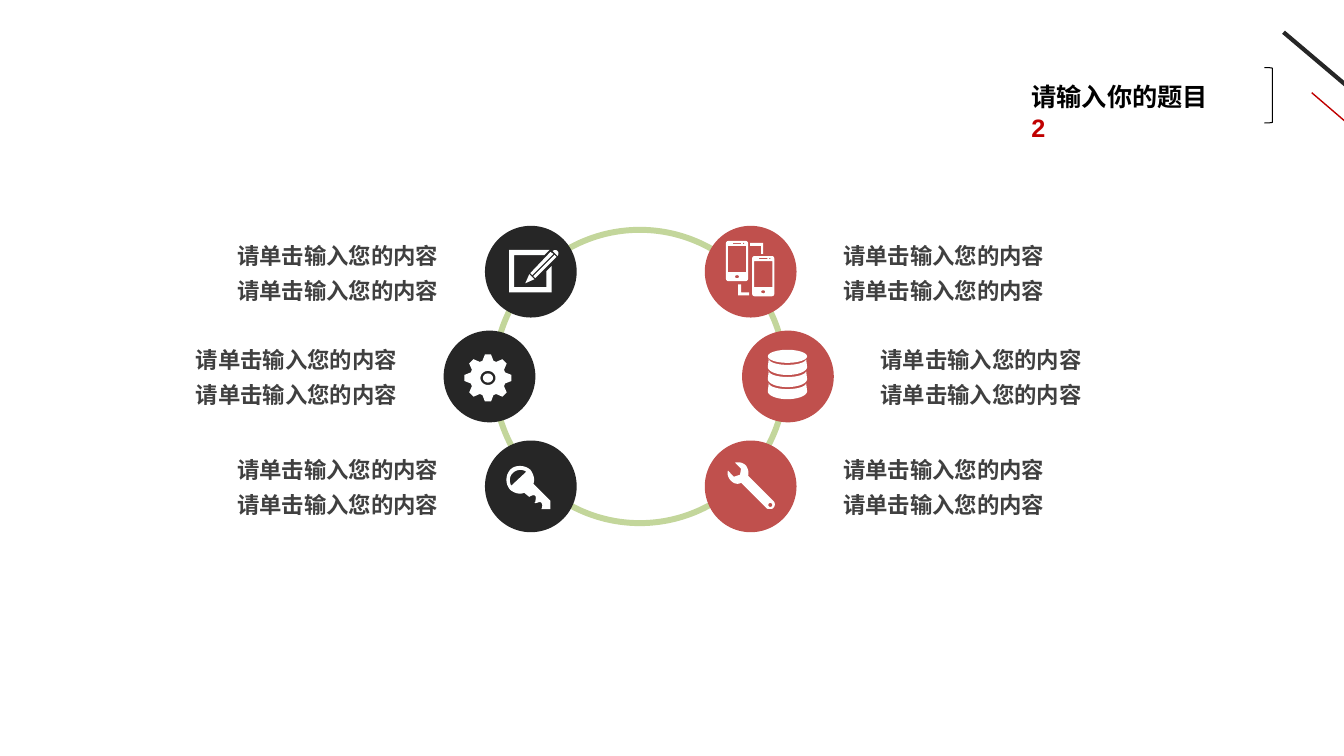
from dataclasses import dataclass
from math import cos, pi, radians, sin

from lxml import etree
from pptx import Presentation
from pptx.dml.color import RGBColor
from pptx.enum.shapes import MSO_CONNECTOR, MSO_SHAPE
from pptx.enum.text import MSO_ANCHOR, MSO_AUTO_SIZE, PP_ALIGN
from pptx.oxml.ns import qn
from pptx.util import Pt

PX = 9144  # EMU; 100 px to the inch
STRAIGHT = MSO_CONNECTOR.STRAIGHT
OVAL, BRACKET = MSO_SHAPE.OVAL, MSO_SHAPE.RIGHT_BRACKET
TOP, MIDDLE = MSO_ANCHOR.TOP, MSO_ANCHOR.MIDDLE
LEFT, CENTER = PP_ALIGN.LEFT, PP_ALIGN.CENTER
NO_AUTOFIT = MSO_AUTO_SIZE.NONE

BADGE_SIZE = 91
CAPTION_SIZE = (236, 93)
CAPTION_LINES = ("请单击输入您的内容", "请单击输入您的内容")

Contour = list[tuple[float, float]]
Icon = list[list[Contour]]  # one list of contours for each freeform


@dataclass(frozen=True)
class Theme:
    black: str = "000000"
    dark: str = "262626"
    body: str = "404040"
    red: str = "C00000"
    coral: str = "C0504D"
    green: str = "C3D69B"
    icon: str = "FEFFFF"
    title_font: str = "Arial"
    body_font: str = "Noto Sans CJK SC"
    title_size: int = 18
    body_size: int = 16


THEME = Theme()


@dataclass(frozen=True)
class Stroke:
    start: tuple[int, int]
    end: tuple[int, int]
    color: str
    width: float


@dataclass(frozen=True)
class Badge:
    left: int
    top: int
    color: str
    caption_offset: int
    icon: Icon


def outline(*steps: tuple[float, ...]) -> Contour:
    """Trace steps: a pair is a corner, six numbers are a cubic curve."""
    points: Contour = []
    for step in steps:
        if len(step) == 2:
            points.append(step)
            continue
        curve = (points[-1], step[:2], step[2:4], step[4:])
        for part in range(1, 9):
            t = part / 8
            weights = ((1 - t) ** 3, 3 * t * (1 - t) ** 2, 3 * t * t * (1 - t), t ** 3)
            points.append(tuple(sum(w * p[axis] for w, p in zip(weights, curve)) for axis in (0, 1)))
    return points


def arc(x: float, y: float, rx: float, ry: float, start: int = 0, sweep: int = 360) -> Contour:
    angles = [radians(start + sweep * part / 24) for part in range(25)]
    return [(x + rx * cos(angle), y + ry * sin(angle)) for angle in angles]


def box(left: int, top: int, right: int, bottom: int) -> Contour:
    return [(left, top), (right, top), (right, bottom), (left, bottom)]


def gear_icon() -> Icon:
    x, y = 44, 47
    rim: Contour = []
    for tooth in range(8):
        turn = tooth * pi / 4
        for across, up in ((-5.5, -17), (-3, -23.3), (3, -23.3), (5.5, -17)):
            rim.append((x + across * cos(turn) - up * sin(turn), y + across * sin(turn) + up * cos(turn)))
    return [[rim, arc(x, y, 7.5, 7)], [arc(x, y, 5, 4.5)]]


def database_icon() -> Icon:
    bands = [arc(45, top, 18.5, 6, 180, -180) + arc(45, top + 8, 19.5, 8, 0, 180) for top in (28, 40, 52)]
    return [[arc(45, 25.5, 19.5, 6.5), *bands]]


def phone(left: int, top: int) -> list[Contour]:
    right, bottom = left + 22, top + 40
    body = outline(
        (left + 3, top), (right - 3, top), (right - 1, top, right, top + 1, right, top + 3),
        (right, bottom - 3), (right, bottom - 1, right - 1, bottom, right - 3, bottom),
        (left + 3, bottom), (left + 1, bottom, left, bottom - 1, left, bottom - 3),
        (left, top + 3), (left, top + 1, left + 1, top, left + 3, top))
    return [body, box(left + 2, top + 5, right - 2, bottom - 9),
            box(left + 7, top + 2, left + 15, top + 3),
            arc(left + 17.5, top + 2.5, 0.7, 0.7), arc(left + 11, top + 35.5, 2, 1.5)]


PENCIL_ICON: Icon = [
    [outline((49, 53), (44, 48), (40, 57))],
    [outline((65, 26), (45, 47), (47, 49), (68, 28))],
    [outline((48, 50), (50, 52), (71, 31), (69, 29))],
    [outline((72, 25), (70, 23, 67, 25, 67, 25), (72, 30), (72, 30, 74, 27, 72, 25))],
    [outline((61, 61), (29, 61), (29, 29), (59, 29), (64, 24), (24, 24),
             (24, 66), (66, 66), (66, 40), (61, 45))],
]
KEY_ICON: Icon = [[
    outline((25, 29), (20, 35, 20, 43, 25, 49), (29, 52, 34, 54, 39, 52), (44, 56),
            (44, 56, 48, 53, 50, 55), (51, 57, 50, 59, 50, 61), (49, 61, 49, 63, 51, 62),
            (52, 62, 55, 60, 56, 62), (58, 64, 56, 68, 56, 68), (65, 68), (65, 60), (48, 43),
            (50, 39, 48, 33, 45, 29), (39, 24, 30, 24, 25, 29)),
    outline((26, 45), (24, 41, 24, 35, 28, 32), (31, 29, 37, 28, 41, 31)),
]]
WRENCH_ICON: Icon = [[
    outline((43, 35), (44, 32, 43, 28, 41, 25), (38, 22, 34, 21, 30, 22), (36, 28), (35, 34),
            (29, 36), (23, 30), (22, 33, 23, 37, 26, 40), (29, 43, 33, 44, 36, 42), (61, 67),
            (62, 68, 63, 68, 64, 68), (66, 68, 67, 68, 68, 67), (70, 65, 70, 62, 68, 60)),
    arc(65, 64, 2, 2),
]]
PHONES_ICON: Icon = [
    phone(21, 15),
    phone(47, 30),
    [outline((56, 28), (58, 28), (58, 17), (45, 17), (45, 20), (56, 20))],
    [outline((36, 58), (33, 58), (33, 69), (44, 69), (44, 66), (36, 66))],
]

STROKES = (
    Stroke((1273, 32), (1358, 104), THEME.dark, 3),
    Stroke((1301, 92), (1343, 128), THEME.red, 1),
)
ROW_TOPS = (224, 328, 437)
SIDES = (
    ((481, 440, 481), THEME.dark, -264, (PENCIL_ICON, gear_icon(), KEY_ICON)),
    ((699, 736, 699), THEME.coral, 119, (PHONES_ICON, database_icon(), WRENCH_ICON)),
)
BADGES = [Badge(left, top, color, offset, icon)
          for lefts, color, offset, icons in SIDES
          for left, top, icon in zip(lefts, ROW_TOPS, icons)]


def write_text(paragraph, text: str, *, font: str, size: int, color: str, align, spacing: float = 1.0) -> None:
    paragraph.alignment = align
    paragraph.line_spacing = spacing
    run = paragraph.add_run()
    run.text = text
    run.font.name, run.font.size, run.font.bold = font, Pt(size), True
    run.font.color.rgb = RGBColor.from_string(color)
    etree.SubElement(run.font._element, qn("a:ea")).set("typeface", font)


def paint(shape, fill: str | None = None, line: str | None = None, width: float = 1) -> None:
    shape.shadow.inherit = False
    if fill:
        shape.fill.solid()
        shape.fill.fore_color.rgb = RGBColor.from_string(fill)
    else:
        shape.fill.background()
    if line:
        shape.line.color.rgb = RGBColor.from_string(line)
        shape.line.width = Pt(width)
    else:
        shape.line.fill.background()


def add_preset(slide, preset, left: int, top: int, width: int, height: int):
    return slide.shapes.add_shape(preset, left * PX, top * PX, width * PX, height * PX)


def add_stroke(slide, stroke: Stroke) -> None:
    ends = [value * PX for value in stroke.start + stroke.end]
    connector = slide.shapes.add_connector(STRAIGHT, *ends)
    connector.line.color.rgb = RGBColor.from_string(stroke.color)
    connector.line.width = Pt(stroke.width)
    etree.SubElement(connector._element.spPr, qn("a:effectLst"))


def add_title(slide) -> None:
    title = slide.shapes.title
    title.left, title.top, title.width, title.height = 1013 * PX, 76 * PX, 225 * PX, 40 * PX
    frame = title.text_frame
    frame.word_wrap, frame.auto_size, frame.vertical_anchor = True, NO_AUTOFIT, TOP
    for paragraph, text, color in ((frame.paragraphs[0], "请输入你的题目", THEME.black),
                                   (frame.add_paragraph(), "2", THEME.red)):
        write_text(paragraph, text, font=THEME.title_font, size=THEME.title_size, color=color, align=LEFT)


def add_badge(slide, badge: Badge) -> None:
    paint(add_preset(slide, OVAL, badge.left, badge.top, BADGE_SIZE, BADGE_SIZE), badge.color)
    for contours in badge.icon:
        placed = [[((badge.left + x) * PX, (badge.top + y) * PX) for x, y in contour] for contour in contours]
        builder = slide.shapes.build_freeform(*placed[0][0])
        builder.add_line_segments(placed[0][1:], close=True)
        for hole in placed[1:]:
            builder.move_to(*hole[0])
            builder.add_line_segments(hole[1:], close=True)
        paint(builder.convert_to_shape(), THEME.icon)


def add_caption(slide, badge: Badge) -> None:
    width, height = CAPTION_SIZE
    left, top = badge.left + badge.caption_offset, badge.top - 4
    frame = slide.shapes.add_textbox(left * PX, top * PX, width * PX, height * PX).text_frame
    frame.word_wrap, frame.vertical_anchor = True, MIDDLE
    for index, text in enumerate(CAPTION_LINES):
        paragraph = frame.add_paragraph() if index else frame.paragraphs[0]
        write_text(paragraph, text, font=THEME.body_font, size=THEME.body_size,
                   color=THEME.body, align=CENTER, spacing=1.3)


def main() -> None:
    presentation = Presentation()
    presentation.slide_width, presentation.slide_height = 1333 * PX, 750 * PX
    slide = presentation.slides.add_slide(presentation.slide_layouts[5])
    for stroke in STROKES:
        add_stroke(slide, stroke)
    add_title(slide)
    paint(add_preset(slide, BRACKET, 1254, 67, 8, 55), line=THEME.black, width=0.75)
    paint(add_preset(slide, OVAL, 490, 228, 289, 291), line=THEME.green, width=4.25)
    for badge in BADGES:
        add_badge(slide, badge)
    for badge in BADGES:
        add_caption(slide, badge)
    presentation.save("out.pptx")


if __name__ == "__main__":
    main()
